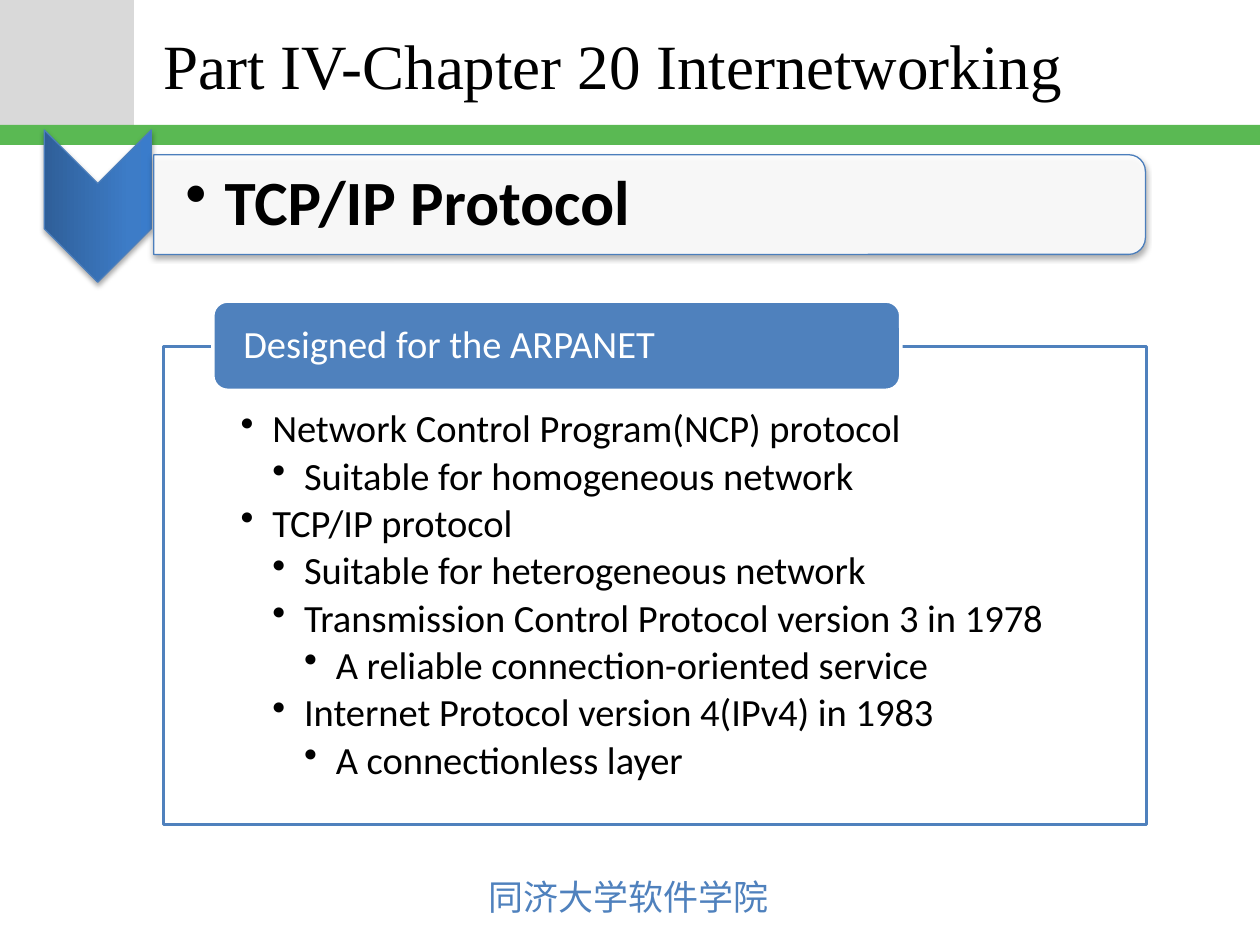
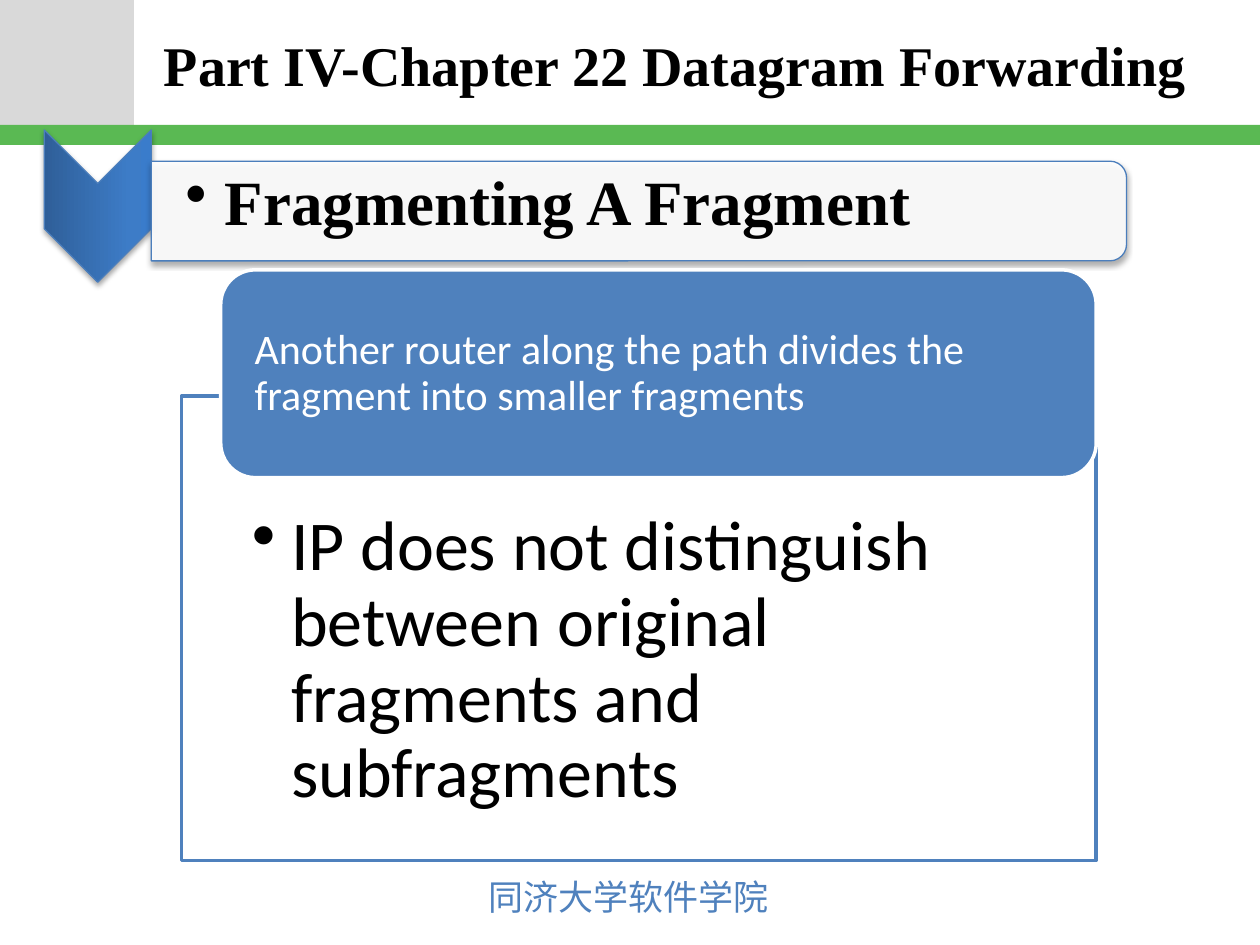
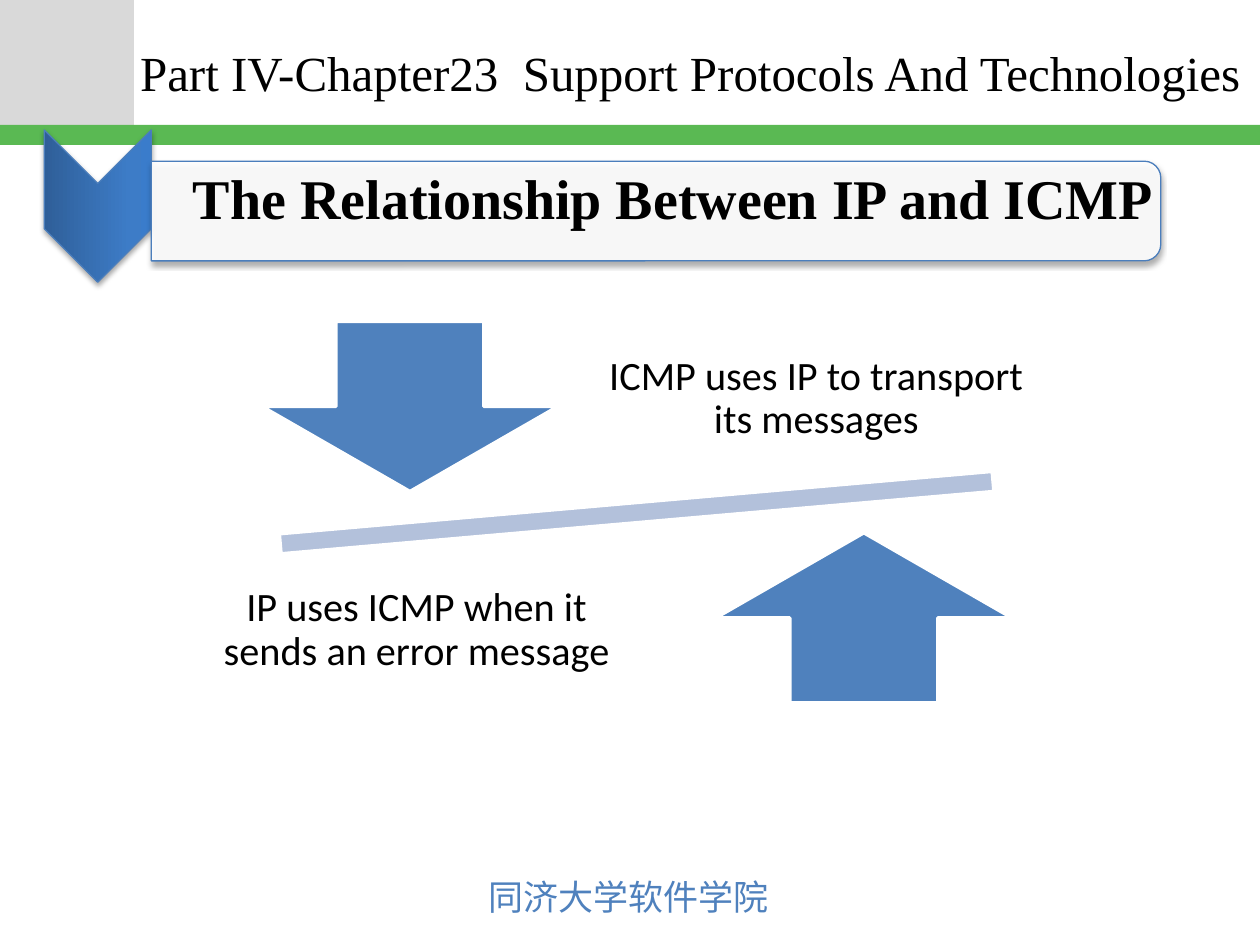
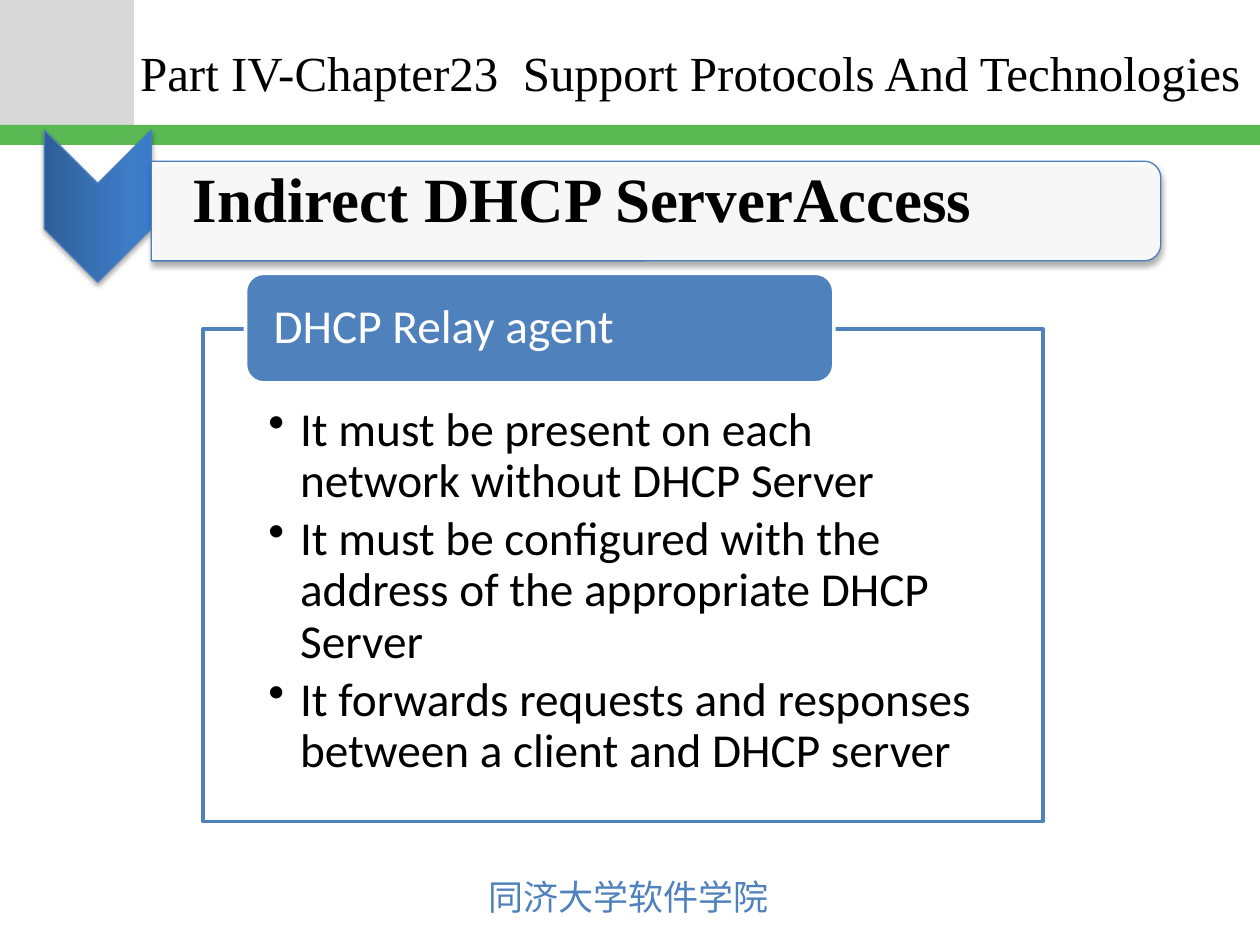
from copy import deepcopy

from lxml.etree import SubElement
from pptx import Presentation
from pptx.dml.color import RGBColor
from pptx.enum.shapes import MSO_SHAPE
from pptx.enum.text import MSO_ANCHOR, MSO_AUTO_SIZE, PP_ALIGN
from pptx.oxml.ns import qn
from pptx.util import Cm, Pt

COLORS = {
    "corner": "D9D9D9", "band": "5AB953", "accent": "4F81BD", "edge": "4B7EBC",
    "pale": "B3C1DB", "white": "FFFFFF", "black": "000000",
    "deep": "2F5F99", "mid": "3D7CC7", "bright": "3A7CCB",
}
SERIF, SANS, CJK = "Times New Roman", "Calibri", "Noto Sans CJK JP"
TITLE_ONLY = 5


def rgb(name):
    return RGBColor.from_string(COLORS[name])


class Deck:
    """Holds the style and the slide being drawn."""

    def __init__(self):
        self.prs = Presentation()
        self.prs.slide_width, self.prs.slide_height = Cm(25.4), Cm(19.05)
        self.layout = self.prs.slide_layouts[TITLE_ONLY]
        self.slide = None

    def start(self, title, box, size, bold=False):
        first = self.slide is None
        self.slide = self.prs.slides.add_slide(self.layout)
        if first:
            self.furnish_layout()
        holder = self.slide.shapes.title
        holder.left, holder.top, holder.width, holder.height = map(Cm, box)
        self.set_text(holder, [title], size, "black", SERIF, bold, spacing=1)
        holder.text_frame.auto_size = MSO_AUTO_SIZE.NONE

    def furnish_layout(self):
        """Draw corner, band and footer once and hand them to the layout."""
        corner = self.shape(MSO_SHAPE.RECTANGLE, (0, 0, 2.7, 2.52), "corner")
        band = self.shape(MSO_SHAPE.RECTANGLE, (0, 2.52, 25.4, 0.4), "band")
        school = self.text(["同济大学软件学院"], (9.6, 17.52, 6.22, 1.11), 20,
                           "accent", CJK, spacing=1, anchor=MSO_ANCHOR.TOP)
        school.text_frame.word_wrap = False
        for run in school.text_frame.paragraphs[0].runs:
            SubElement(run.font._element, qn("a:ea"), typeface=CJK)
        tree = self.layout.shapes.element
        for place, part in enumerate((corner, band, school)):
            part.element.nvSpPr.cNvPr.set("id", str(20 + place))
            tree.insert(2 + place, part.element)

    def set_text(self, shape, lines, size, color, font=SANS, bold=False,
                 align=PP_ALIGN.LEFT, anchor=MSO_ANCHOR.MIDDLE, insets=None,
                 spacing=0.9, indent=None):
        """Fill a shape with text; with an indent, lines are (level, text)."""
        frame = shape.text_frame
        frame.word_wrap = True
        frame.vertical_anchor = anchor
        if insets:
            (frame.margin_left, frame.margin_top,
             frame.margin_right, frame.margin_bottom) = map(Cm, insets)
        for number, line in enumerate(lines):
            level, words = line if indent else (0, line)
            paragraph = frame.paragraphs[0] if number == 0 else frame.add_paragraph()
            paragraph.text = words
            paragraph.alignment = align
            paragraph.line_spacing = spacing
            if indent:
                self.bullet(paragraph, level, indent)
                paragraph.space_after = Pt(0.15 * size)
            for run in paragraph.runs:
                run.font.name, run.font.size, run.font.bold = font, Pt(size), bold
                run.font.color.rgb = rgb(color)

    def bullet(self, paragraph, level, indent):
        paragraph.level = level
        props = paragraph._p.get_or_add_pPr()
        props.set("marL", str(Cm(indent * level)))
        props.set("indent", str(-Cm(indent)))
        SubElement(props, qn("a:buChar"), char="•")

    def text(self, lines, box, size, color="black", font=SANS, **style):
        area = self.slide.shapes.add_textbox(*map(Cm, box))
        self.set_text(area, lines, size, color, font, **style)
        return area

    def shape(self, kind, box, fill, line=None, width=2, opacity=None):
        item = self.slide.shapes.add_shape(kind, *map(Cm, box))
        item.shadow.inherit = False
        item.fill.solid()
        item.fill.fore_color.rgb = rgb(fill)
        if opacity:
            tint = item.element.spPr.find(qn("a:solidFill"))[0]
            SubElement(tint, qn("a:alpha"), val=str(opacity * 1000))
        if line:
            item.line.color.rgb = rgb(line)
            item.line.width = Pt(width)
        else:
            item.line.fill.background()
        return item

    def turned(self, kind, box, opacity=None):
        """A shadowed shape turned a quarter, given the box it covers."""
        left, top, width, height = box
        shift = (width - height) / 2
        item = self.shape(kind, (left + shift, top - shift, height, width),
                          "white", "edge", 0.75, opacity)
        item.rotation = 90
        shadow = SubElement(item.element.spPr.find(qn("a:effectLst")),
                            qn("a:outerShdw"), blurRad=str(Pt(3.1)),
                            dist=str(Pt(1.8)), dir="5400000", rotWithShape="0")
        shade = SubElement(shadow, qn("a:srgbClr"), val=COLORS["black"])
        SubElement(shade, qn("a:alpha"), val="35000")
        return item

    def banner(self, heading, box, text_box, size=36, font=SERIF, bulleted=True):
        """Chevron and heading bar below the green band."""
        chevron = self.turned(MSO_SHAPE.CHEVRON, (0.89, 2.62, 2.16, 3.07))
        chevron.fill.gradient()
        chevron.fill.gradient_angle = 90
        stops = chevron.element.spPr.find(".//" + qn("a:gsLst"))
        stops.append(deepcopy(stops[0]))
        blend = ((0, "deep"), (0.8, "mid"), (1, "bright"))
        for stop, (position, color) in zip(chevron.fill.gradient_stops, blend):
            stop.position = position
            stop.color.rgb = rgb(color)
        self.turned(MSO_SHAPE.ROUND_2_SAME_RECTANGLE, box, opacity=90)
        lines, indent, spacing = [heading], None, 1
        if bulleted:
            lines, indent, spacing = [(1, heading)], 0.79, 0.9
        self.text(lines, text_box, size, font=font, bold=True, indent=indent,
                  spacing=spacing, insets=(0.64, 0.05, 0.05, 0.05))

    def panel(self, points, box, insets, label, tab_box, tab_inset,
              size, label_size, indent=0.64):
        """Framed bullet list with a label tab over its top edge."""
        frame = self.shape(MSO_SHAPE.RECTANGLE, box, "white", "accent", opacity=90)
        self.set_text(frame, points, size, "black", anchor=MSO_ANCHOR.TOP,
                      insets=insets, indent=indent)
        tab = self.shape(MSO_SHAPE.ROUNDED_RECTANGLE, tab_box, "accent", "white")
        self.set_text(tab, [label], label_size, "white",
                      insets=(tab_inset, 0, tab_inset, 0))


def main():
    deck = Deck()

    # TCP/IP protocol
    deck.start("Part IV-Chapter 20 Internetworking", (3.05, 0.05, 21.84, 2.49), 36)
    deck.banner("TCP/IP Protocol", (3.1, 3.12, 19.99, 2.01),
                (3.1, 3.23, 19.91, 1.8), font=SANS)
    protocols = [
        (1, "Network Control Program(NCP) protocol"),
        (2, "Suitable for homogeneous network"),
        (1, "TCP/IP protocol"),
        (2, "Suitable for heterogeneous network"),
        (2, "Transmission Control Protocol version 3 in 1978"),
        (3, "A reliable connection-oriented service"),
        (2, "Internet Protocol version 4(IPv4) in 1983"),
        (3, "A connectionless layer"),
    ]
    deck.panel(protocols, (3.3, 6.99, 19.81, 9.63), (1.55, 1.27, 1.55, 0.43),
               "Designed for the ARPANET", (4.29, 6.07, 13.87, 1.8), 0.53, 22, 22)

    # Fragmenting
    deck.start("Part IV-Chapter 22 Datagram Forwarding",
               (3.05, 0.05, 21.44, 2.49), 32, bold=True)
    deck.banner("Fragmenting A Fragment", (3.05, 3.25, 19.66, 2.01),
                (3.1, 3.23, 19.56, 1.8))
    deck.panel([(1, "IP does not distinguish between original fragments and subfragments")],
               (3.66, 7.98, 18.44, 9.37), (1.42, 2.31, 1.42, 0.79),
               "Another router along the path divides the fragment into smaller fragments",
               (4.45, 5.44, 17.65, 4.19), 0.48, 40, 24, indent=0.79)

    # Both support protocol slides share title and bar
    support = ("Part IV-Chapter23  Support Protocols And Technologies",
               (2.57, 0.2, 23.85, 2.49), 28)
    bar, bar_text = (3.05, 3.25, 20.35, 2.01), (3.25, 3.07, 20.27, 1.8)

    # IP and ICMP balance
    deck.start(*support)
    deck.banner("The Relationship Between IP and ICMP", bar, bar_text,
                size=32, bulleted=False)
    beam = deck.shape(MSO_SHAPE.MATH_MINUS, (3.02, 9.47, 19.63, 1.73), "pale", "white")
    beam.rotation = 355
    sides = (
        (MSO_SHAPE.DOWN_ARROW, (5.28, 6.48), "IP uses ICMP when it sends an error message",
         (3.91, 10.92, 8.99, 3.58)),
        (MSO_SHAPE.UP_ARROW, (14.43, 10.74), "ICMP uses IP to transport its messages",
         (11.71, 6.25, 9.5, 3.58)),
    )
    for arrow, corner, statement, area in sides:
        deck.shape(arrow, (*corner, 5.97, 3.43), "accent", "white")
        deck.text([statement], area, 23, align=PP_ALIGN.CENTER, insets=(0.46,) * 4)

    # DHCP relay
    deck.start(*support)
    deck.banner("Indirect DHCP ServerAccess", bar, bar_text, bulleted=False)
    duties = [
        (1, "It must be present on each network without DHCP Server"),
        (1, "It must be configured with the address of the appropriate DHCP Server"),
        (1, "It forwards requests and responses between a client and DHCP server"),
    ]
    deck.panel(duties, (4.09, 6.63, 16.94, 9.93), (1.32, 1.55, 1.32, 0.53),
               "DHCP Relay agent", (4.95, 5.51, 11.86, 2.21), 0.46, 27, 27)

    deck.prs.save("out.pptx")


if __name__ == "__main__":
    main()
